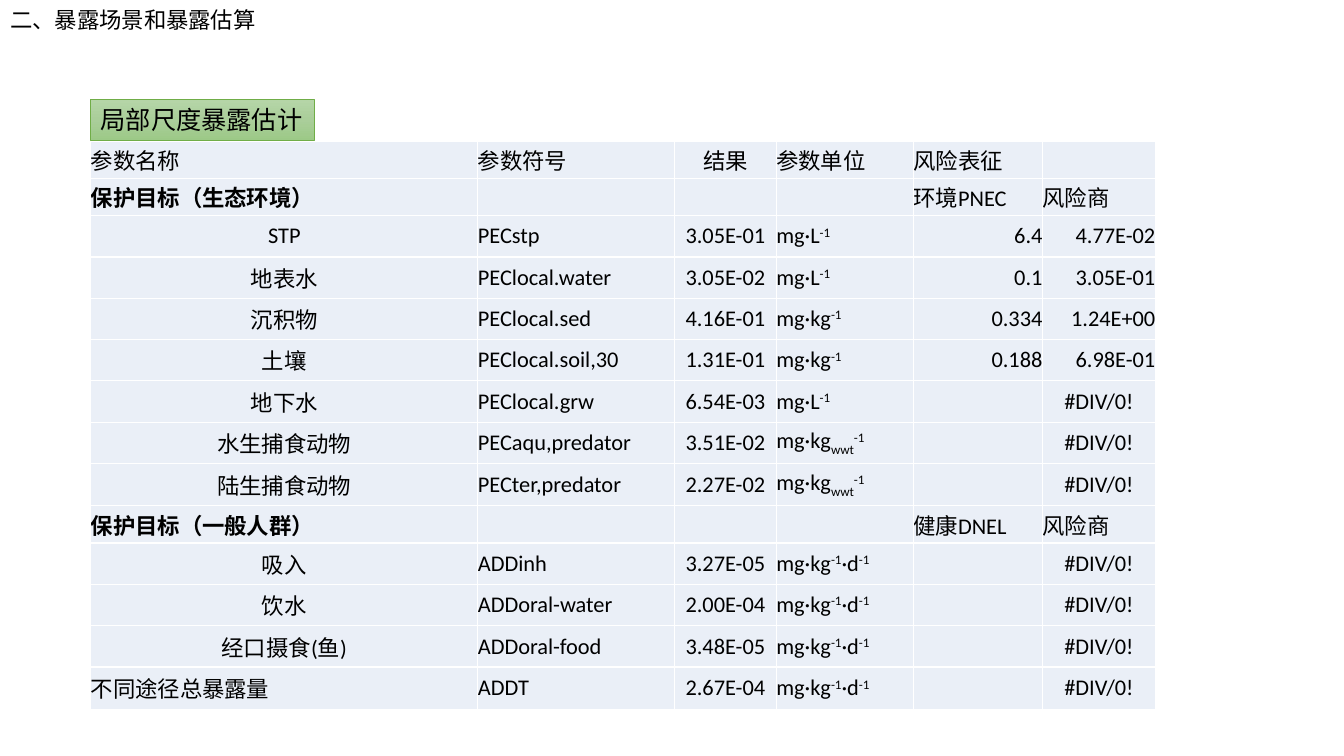
from copy import deepcopy

from lxml.etree import SubElement
from pptx import Presentation
from pptx.dml.color import RGBColor
from pptx.enum.shapes import MSO_SHAPE
from pptx.enum.text import MSO_ANCHOR, MSO_AUTO_SIZE, PP_ALIGN
from pptx.oxml.ns import qn
from pptx.util import Inches, Pt

LEFT, CENTER, RIGHT = PP_ALIGN.LEFT, PP_ALIGN.CENTER, PP_ALIGN.RIGHT

# A unit is a list of (text, baseline percent) runs.
PER = ("-1", 30)
PER_L = [("mg·L", 0), PER]
PER_KG = [("mg·kg", 0), PER]
PER_KG_WET = [("mg·kg", 0), ("wwt", -25), PER]
PER_KG_DAY = PER_KG + [("·d", 0), PER]
NO_VALUE = "#DIV/0!"
TOTAL = "不同途径总暴露量"

ROWS = [
    ("参数名称", "参数符号", "结果", "参数单位", "风险表征", ""),
    ("保护目标（生态环境）", "", "", "", "环境PNEC", "风险商"),
    ("STP", "PECstp", "3.05E-01", PER_L, "6.4", "4.77E-02"),
    ("地表水", "PEClocal.water", "3.05E-02", PER_L, "0.1", "3.05E-01"),
    ("沉积物", "PEClocal.sed", "4.16E-01", PER_KG, "0.334", "1.24E+00"),
    ("土壤", "PEClocal.soil,30", "1.31E-01", PER_KG, "0.188", "6.98E-01"),
    ("地下水", "PEClocal.grw", "6.54E-03", PER_L, "", NO_VALUE),
    ("水生捕食动物", "PECaqu,predator", "3.51E-02", PER_KG_WET, "", NO_VALUE),
    ("陆生捕食动物", "PECter,predator", "2.27E-02", PER_KG_WET, "", NO_VALUE),
    ("保护目标（一般人群）", "", "", "", "健康DNEL", "风险商"),
    ("吸入", "ADDinh", "3.27E-05", PER_KG_DAY, "", NO_VALUE),
    ("饮水", "ADDoral-water", "2.00E-04", PER_KG_DAY, "", NO_VALUE),
    ("经口摄食(鱼)", "ADDoral-food", "3.48E-05", PER_KG_DAY, "", NO_VALUE),
    (TOTAL, "ADDT", "2.67E-04", PER_KG_DAY, "", NO_VALUE),
]
COL_WIDTHS = [3.84, 1.95, 1.01, 1.36, 1.28, 1.12]
HEADING_HEIGHT, ROW_HEIGHT, TALL_HEIGHT = 0.37, 0.41, 0.42
TALL_ROWS = {"陆生捕食动物", TOTAL}


def rgb(value):
    return RGBColor.from_string(value)


def is_heading(row):
    return not isinstance(row[3], list)


def row_height(row):
    if is_heading(row):
        return HEADING_HEIGHT
    return TALL_HEIGHT if row[0] in TALL_ROWS else ROW_HEIGHT


def alignment(row, col):
    if col == 2:
        return CENTER
    if is_heading(row):
        return LEFT
    if col == 0:
        return LEFT if row[0] == TOTAL else CENTER
    if col >= 4:
        return CENTER if row[col] == NO_VALUE else RIGHT
    return LEFT


class SlideBuilder:
    font = "Calibri"
    cjk_font = "Noto Sans CJK SC"
    ink = "000000"
    cell_fill = "EAEFF7"
    border = "FFFFFF"
    label_line = "70AD47"
    label_stops = ["B5D5A7", "AACE9A", "9CC987"]

    def __init__(self, slide):
        self.s = slide

    def run(self, p, text, size, font=None, bold=False, baseline=0):
        r = p.add_run()
        r.text = text
        r.font.size = Pt(size)
        r.font.bold = bold
        r.font.color.rgb = rgb(self.ink)
        r.font.name = font or self.font
        rPr = r.font._element
        SubElement(rPr, qn("a:ea")).set("typeface", self.cjk_font)
        if baseline:
            rPr.set("baseline", str(baseline * 1000))

    def title(self, text, left, top, width, height):
        sp = self.s.shapes.title
        sp.left, sp.top = Inches(left), Inches(top)
        sp.width, sp.height = Inches(width), Inches(height)
        tf = sp.text_frame
        tf.auto_size = MSO_AUTO_SIZE.NONE
        tf.vertical_anchor = MSO_ANCHOR.MIDDLE
        p = tf.paragraphs[0]
        p.alignment = LEFT
        p.line_spacing = 0.9
        self.run(p, text, 16, self.cjk_font)

    def cell(self, cell, content, align, bold):
        cell.margin_left = cell.margin_right = 0
        cell.margin_top = cell.margin_bottom = 0
        cell.vertical_anchor = MSO_ANCHOR.MIDDLE
        tcPr = cell._tc.get_or_add_tcPr()
        for side in ("lnL", "lnR", "lnT", "lnB"):
            ln = SubElement(tcPr, qn(f"a:{side}"), w=str(Pt(1)))
            fill = SubElement(ln, qn("a:solidFill"))
            SubElement(fill, qn("a:srgbClr"), val=self.border)
        cell.fill.solid()
        cell.fill.fore_color.rgb = rgb(self.cell_fill)
        p = cell.text_frame.paragraphs[0]
        p.alignment = align
        p.font.size = Pt(16)
        runs = content if isinstance(content, list) else [(content, 0)]
        for text, baseline in runs:
            if text:
                self.run(p, text, 16, bold=bold, baseline=baseline)

    def table(self, rows, left, top):
        heights = [row_height(row) for row in rows]
        table = self.s.shapes.add_table(
            len(rows), len(COL_WIDTHS), Inches(left), Inches(top),
            Inches(sum(COL_WIDTHS)), Inches(sum(heights))).table
        table.first_row = table.horz_banding = False
        for column, width in zip(table.columns, COL_WIDTHS):
            column.width = Inches(width)
        for i, row in enumerate(rows):
            table.rows[i].height = Inches(heights[i])
            for j, content in enumerate(row):
                bold = j == 0 and content.startswith("保护目标")
                self.cell(table.cell(i, j), content, alignment(row, j), bold)

    def label(self, text, left, top, width, height):
        sp = self.s.shapes.add_shape(
            MSO_SHAPE.RECTANGLE, Inches(left), Inches(top),
            Inches(width), Inches(height))
        sp.shadow.inherit = False
        sp.fill.gradient()
        sp.fill.gradient_angle = 270
        stops = sp._element.spPr.find(".//" + qn("a:gsLst"))
        stops.insert(1, deepcopy(stops[0]))
        for i, (stop, color) in enumerate(
                zip(sp.fill.gradient_stops, self.label_stops)):
            stop.position = i / 2
            stop.color.rgb = rgb(color)
        sp.line.color.rgb = rgb(self.label_line)
        sp.line.width = Pt(0.5)
        tf = sp.text_frame
        tf.word_wrap = False
        tf.auto_size = MSO_AUTO_SIZE.SHAPE_TO_FIT_TEXT
        tf.vertical_anchor = MSO_ANCHOR.TOP
        p = tf.paragraphs[0]
        p.alignment = LEFT
        self.run(p, text, 18)


def main():
    prs = Presentation()
    prs.slide_width, prs.slide_height = Inches(13.33), Inches(7.5)
    builder = SlideBuilder(prs.slides.add_slide(prs.slide_layouts[5]))
    builder.title("二、暴露场景和暴露估算", 0, 0, 13.33, 0.42)
    builder.table(ROWS, 0.9, 1.4)
    builder.label("局部尺度暴露估计", 0.9, 0.99, 2.22, 0.4)
    prs.save("out.pptx")


if __name__ == "__main__":
    main()
